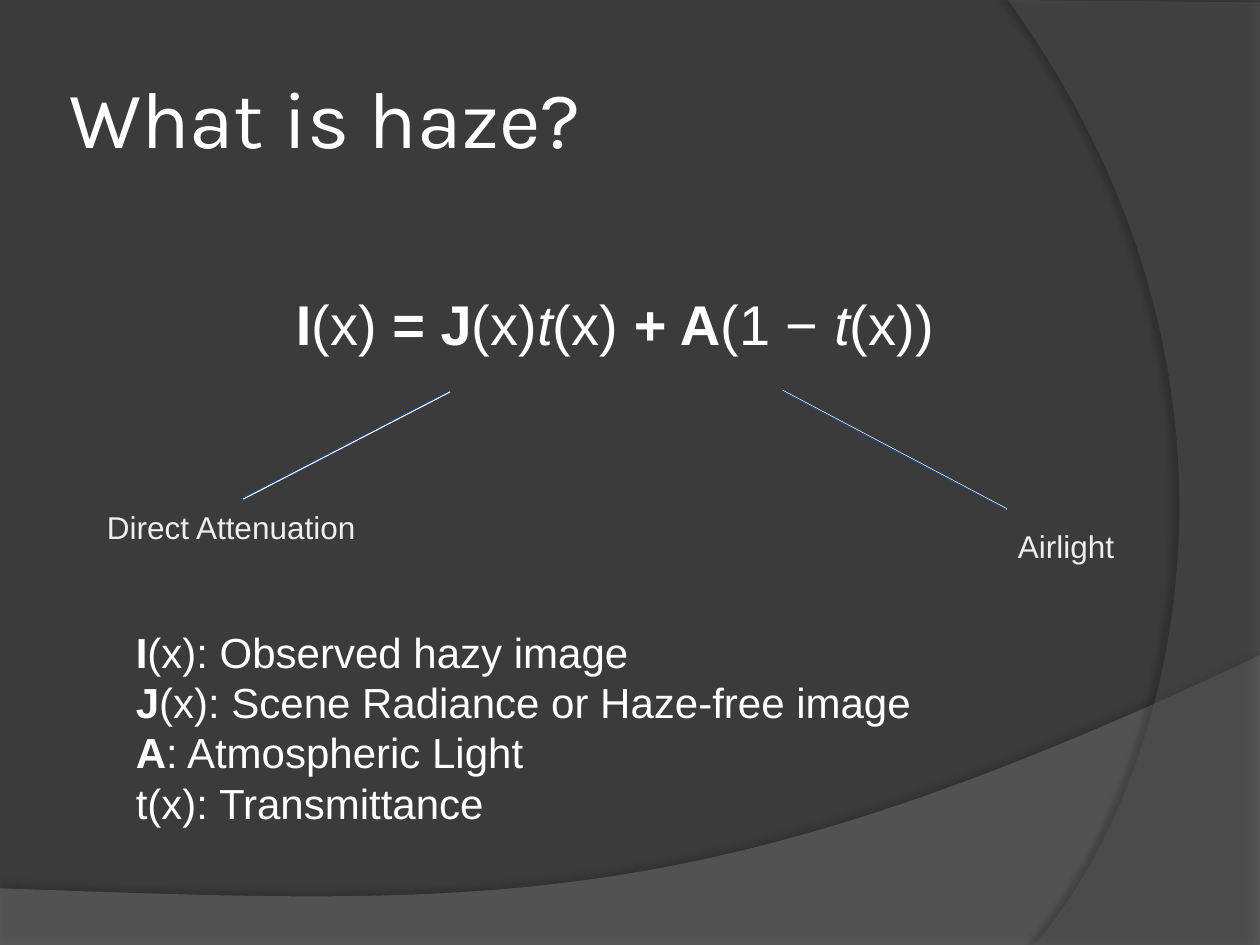
"""Build the slide that explains the haze equation."""
import pptx
import pptx.util
import pptx.dml.color
import pptx.enum.shapes
import pptx.enum.text
import lxml.etree

RGB = pptx.dml.color.RGBColor
WHITE = RGB(0xFF, 0xFF, 0xFF)
BACK = RGB(0x3B, 0x3B, 0x3B)
WAVE = RGB(0x7B, 0x7B, 0x7B)
ARC = RGB(0x5A, 0x5A, 0x5A)
NAVY = RGB(0x1F, 0x49, 0x7D)
PALE = RGB(0xEF, 0xEF, 0xEF)
PALER = RGB(0xED, 0xED, 0xED)
A = "{http://schemas.openxmlformats.org/drawingml/2006/main}"

prs = pptx.Presentation()
prs.slide_width = pptx.util.Inches(10)
prs.slide_height = pptx.util.Inches(7.5)
COL, ROW = prs.slide_width / 100, prs.slide_height / 100
s = prs.slides.add_slide(prs.slide_layouts[6])
s.background.fill.solid()
s.background.fill.fore_color.rgb = BACK


def add_shadow(sp, color, alpha, blur, dist, angle):
    pr = sp._element.spPr
    fx = pr.find(A + "effectLst")
    if fx is None:
        fx = lxml.etree.SubElement(pr, A + "effectLst")
    sh = lxml.etree.SubElement(
        fx, A + "outerShdw", blurRad=str(int(blur * 12700)),
        dist=str(int(dist * 12700)), dir=str(angle * 60000),
        algn="ctr", rotWithShape="0")
    clr = lxml.etree.SubElement(sh, A + "srgbClr", val=str(color))
    lxml.etree.SubElement(clr, A + "alpha", val=str(alpha * 1000))


def bezier(a, b, c, d, n=60):
    ts = [i / n for i in range(n + 1)]
    return [tuple((1 - t) ** 3 * a[k] + 3 * (1 - t) ** 2 * t * b[k]
                  + 3 * (1 - t) * t ** 2 * c[k] + t ** 3 * d[k]
                  for k in (0, 1)) for t in ts]


wave = [(0, 100.13), (100, 100.13)] + bezier(
    (100, 69.33), (55.9, 97.2), (39.1, 95.87), (0, 94))
arc = [(100, 0.27), (100, 100)] + bezier(
    (82.1, 100), (93.5, 82.53), (101.8, 40), (80, 0))
for pts, color, alpha, shadow in (
        (wave, WAVE, 45, (35, 4, 3.5, 270)),
        (arc, ARC, 40, (45, 4, 4, 180))):
    pts = [(round(x * COL), round(y * ROW)) for x, y in pts]
    fb = s.shapes.build_freeform(*pts[0])
    fb.add_line_segments(pts[1:], close=True)
    sp = fb.convert_to_shape()
    sp.shadow.inherit = False
    sp.fill.solid()
    sp.fill.fore_color.rgb = color
    clr = sp._element.spPr.find(A + "solidFill")[0]
    lxml.etree.SubElement(clr, A + "alpha", val=str(alpha * 1000))
    sp.line.fill.background()
    add_shadow(sp, RGB(0, 0, 0), *shadow)

for x1, y1, x2, y2, dist in (
        (35.5, 41.47, 19.1, 52.8, 1.5), (62, 41.33, 79.8, 53.87, 0.8)):
    sp = s.shapes.add_connector(
        pptx.enum.shapes.MSO_CONNECTOR.STRAIGHT,
        round(x1 * COL), round(y1 * ROW), round(x2 * COL), round(y2 * ROW))
    sp.line.color.rgb = NAVY
    sp.line.width = pptx.util.Pt(0.75)
    add_shadow(sp, WHITE, 100, 0, dist, 0)

B, I, N = {"bold": True}, {"italic": True}, {}
equation = [[("I", B), ("(x)", N), (" = J", B), ("(x)", N), ("t", I),
             ("(x)", N), (" + A", B), ("(1 − ", N), ("t", I), ("(x))", N)]]
legend = [[("I", B), ("(x): Observed hazy image", N)],
          [("J", B), ("(x): Scene Radiance or Haze-free image", N)],
          [("A", B), (": Atmospheric Light", N)],
          [("t(x): Transmittance", N)]]
texts = (
    ((5, 4, 81.7, 16.67), 0.05, 0.05, "Karla", 46, WHITE, None,
     [[("What is haze?", N)]]),
    ((22.5, 30, 53.3, 8.53), 0.1, 0.05, "Arial", 32, WHITE, 1.2, equation),
    ((9.8, 65.6, 64.3, 22.93), 0.1, 0.05, "Arial", 24, WHITE, 1.2, legend),
    ((7.5, 52.4, 25.4, 6.13), 0.1, 0.1, "Arial", 18, PALE, None,
     [[("Direct Attenuation", N)]]),
    ((79.8, 54.4, 14.6, 5.33), 0.1, 0.1, "Arial", 18, PALER, None,
     [[("Airlight", N)]]))
for (x, y, w, h), mx, my, name, size, color, pitch, paras in texts:
    tf = s.shapes.add_textbox(round(x * COL), round(y * ROW),
                              round(w * COL), round(h * ROW)).text_frame
    anchor = pptx.enum.text.MSO_ANCHOR
    frame = {"word_wrap": True,
             "vertical_anchor": anchor.MIDDLE if size == 46 else anchor.TOP,
             "margin_left": pptx.util.Inches(mx),
             "margin_right": pptx.util.Inches(mx),
             "margin_top": pptx.util.Inches(my),
             "margin_bottom": pptx.util.Inches(my)}
    for key, value in frame.items():
        setattr(tf, key, value)
    for i, runs in enumerate(paras):
        p = tf.add_paragraph() if i else tf.paragraphs[0]
        if pitch:
            p.line_spacing = pptx.util.Pt(size * pitch)
        for text, style in runs:
            r = p.add_run()
            r.text = text
            r.font.color.rgb = color
            font = {"name": name, "size": pptx.util.Pt(size), **style}
            for key, value in font.items():
                setattr(r.font, key, value)

prs.save("out.pptx")
